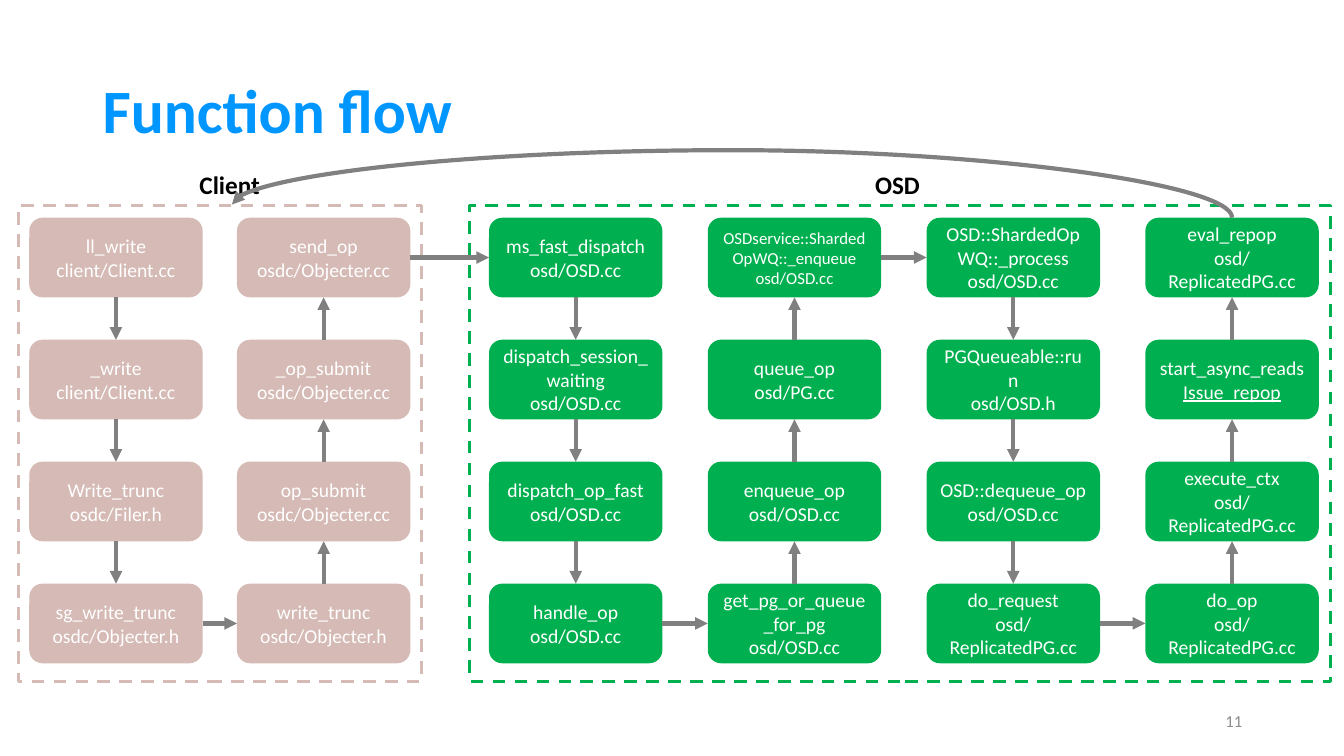
"""Build the function flow slide: client and OSD call chains joined by arrows."""
from dataclasses import dataclass
from itertools import pairwise

from lxml.etree import SubElement
from pptx import Presentation
from pptx.dml.color import RGBColor as Rgb
from pptx.enum.dml import MSO_LINE as Dash
from pptx.enum.shapes import MSO_CONNECTOR as Conn, MSO_SHAPE as Shape
from pptx.enum.text import MSO_ANCHOR as Anchor, PP_ALIGN as Align
from pptx.oxml.ns import qn
from pptx.util import Inches, Pt

TITLE = "Function flow"
PAGE = "11"
COLUMNS = [
    ("Client", 0.29, [
        ("ll_write", "client/Client.cc"), ("_write", "client/Client.cc"),
        ("Write_trunc", "osdc/Filer.h"), ("sg_write_trunc", "osdc/Objecter.h")]),
    ("Client", 2.35, [
        ("write_trunc", "osdc/Objecter.h"), ("op_submit", "osdc/Objecter.cc"),
        ("_op_submit", "osdc/Objecter.cc"), ("send_op", "osdc/Objecter.cc")]),
    ("OSD", 4.85, [
        ("ms_fast_dispatch", "osd/OSD.cc"), ("dispatch_session_waiting", "osd/OSD.cc"),
        ("dispatch_op_fast", "osd/OSD.cc"), ("handle_op", "osd/OSD.cc")]),
    ("OSD", 7.02, [
        ("get_pg_or_queue_for_pg", "osd/OSD.cc"), ("enqueue_op", "osd/OSD.cc"),
        ("queue_op", "osd/PG.cc"), ("OSDservice::ShardedOpWQ::_enqueue", "osd/OSD.cc")]),
    ("OSD", 9.19, [
        ("OSD::ShardedOpWQ::_process", "osd/OSD.cc"), ("PGQueueable::run", "osd/OSD.h"),
        ("OSD::dequeue_op", "osd/OSD.cc"), ("do_request", "osd/ReplicatedPG.cc")]),
    ("OSD", 11.36, [
        ("do_op", "osd/ReplicatedPG.cc"), ("execute_ctx", "osd/ReplicatedPG.cc"),
        ("start_async_reads", "Issue_repop"), ("eval_repop", "osd/ReplicatedPG.cc")]),
]
SMALL = "OSDservice::ShardedOpWQ::_enqueue"
UNDER = "Issue_repop"
ZONES = [("OSD", 4.66, 8.54, 8.58, 0.71), ("Client", 0.18, 4, 1.88, 0.84)]
WIDE, HIGH = 13.33, 7.5
TOP, STEP, BOX_W, BOX_H = 2.16, 1.21, 1.72, 0.79
ZONE_Y, ZONE_H = 2.04, 4.72
PEAK, GOAL_X = 1.49, 2.3


@dataclass(frozen=True)
class Theme:
    """Colours and type sizes."""
    font: str = "Calibri"
    title: str = "0096FF"
    ink: str = "000000"
    white: str = "FFFFFF"
    grey: str = "8C8C8C"
    arrow: str = "808080"
    client: str = "D5BAB5"
    osd: str = "00B050"
    head: int = 44
    label: int = 18
    body: int = 14
    note: int = 12

    def zone(self, name):
        return self.client if name == "Client" else self.osd


LOOK = Theme()
deck = Presentation()
deck.slide_width, deck.slide_height = Inches(WIDE), Inches(HIGH)
slide = deck.slides.add_slide(deck.slide_layouts[6])
shapes = slide.shapes


def write(frame, lines, size, color, bold=False, align=Align.LEFT,
          anchor=Anchor.MIDDLE, wrap=True):
    frame.word_wrap, frame.vertical_anchor = wrap, anchor
    for i, line in enumerate(lines):
        para = frame.paragraphs[0] if i == 0 else frame.add_paragraph()
        para.alignment = align
        run = para.add_run()
        run.text = line
        font = run.font
        font.name, font.size, font.bold = LOOK.font, Pt(size), bold
        font.color.rgb = Rgb.from_string(color)
        if line == UNDER:
            font.underline = True


def label(area, text, size, color, **style):
    frame = shapes.add_textbox(*map(Inches, area)).text_frame
    write(frame, [text], size, color, **style)
    return frame


def block(kind, area):
    item = shapes.add_shape(kind, *map(Inches, area))
    item.shadow.inherit = False
    return item


def arrow(kind, start, end):
    link = shapes.add_connector(kind, *map(Inches, (*start, *end)))
    link.line.color.rgb = Rgb.from_string(LOOK.arrow)
    link.line.width = Pt(3)
    props = link._element.spPr
    SubElement(props.find(qn("a:ln")), qn("a:tailEnd"), type="triangle")
    SubElement(props, qn("a:effectLst"))
    return link


def draw_boxes():
    flow = []
    for col, (zone, left, calls) in enumerate(COLUMNS):
        for i, lines in enumerate(calls):
            row = len(calls) - 1 - i if col % 2 else i
            box = block(Shape.ROUNDED_RECTANGLE, (left, TOP + row * STEP, BOX_W, BOX_H))
            box.fill.solid()
            box.fill.fore_color.rgb = Rgb.from_string(LOOK.zone(zone))
            box.line.fill.background()
            size = LOOK.note if lines[0] == SMALL else LOOK.body
            write(box.text_frame, lines, size, LOOK.white, align=Align.CENTER)
            flow.append((box, col, row))
    return flow


def draw_zones():
    for name, left, width, text_x, text_w in ZONES:
        edge = block(Shape.RECTANGLE, (left, ZONE_Y, width, ZONE_H))
        edge.fill.background()
        edge.line.color.rgb = Rgb.from_string(LOOK.zone(name))
        edge.line.width, edge.line.dash_style = Pt(2.25), Dash.DASH
        label((text_x, 1.63, text_w, 0.4), name, LOOK.label, LOOK.ink,
              bold=True, anchor=Anchor.TOP, wrap=False)


def draw_links(flow):
    for (box, col, row), (goal, next_col, next_row) in pairwise(flow):
        if col != next_col:
            out, into = 3, 1
        else:
            out, into = (2, 0) if next_row > row else (0, 2)
        link = arrow(Conn.STRAIGHT, (0, 0), (1, 1))
        link.begin_connect(box, out)
        link.end_connect(goal, into)


def draw_return():
    start_x, start_y, end_y = COLUMNS[-1][1] + BOX_W / 2, TOP, ZONE_Y - 0.01
    mid_x, mid_y = (start_x + GOAL_X) / 2, (start_y + end_y) / 2
    span, rise = (start_x - GOAL_X) / 2, (start_y - end_y) / 2
    link = arrow(Conn.CURVE, (mid_x - rise, mid_y + span), (mid_x + rise, mid_y - span))
    props = link._element.spPr
    props.find(qn("a:xfrm")).set("rot", str(270 * 60000))
    bend = round((start_y - PEAK) / (start_y - end_y) * 100000)
    guides = props.find(qn("a:prstGeom")).find(qn("a:avLst"))
    SubElement(guides, qn("a:gd"), name="adj1", fmla=f"val {bend}")


def main():
    head = label((0.92, 0.4, 11.5, 1.45), TITLE, LOOK.head, LOOK.title, bold=True)
    head.paragraphs[0].line_spacing = 0.9
    label((9.42, 6.95, 3, 0.4), PAGE, LOOK.note, LOOK.grey, align=Align.RIGHT)
    flow = draw_boxes()
    draw_zones()
    draw_links(flow)
    draw_return()
    deck.save("out.pptx")


if __name__ == "__main__":
    main()
